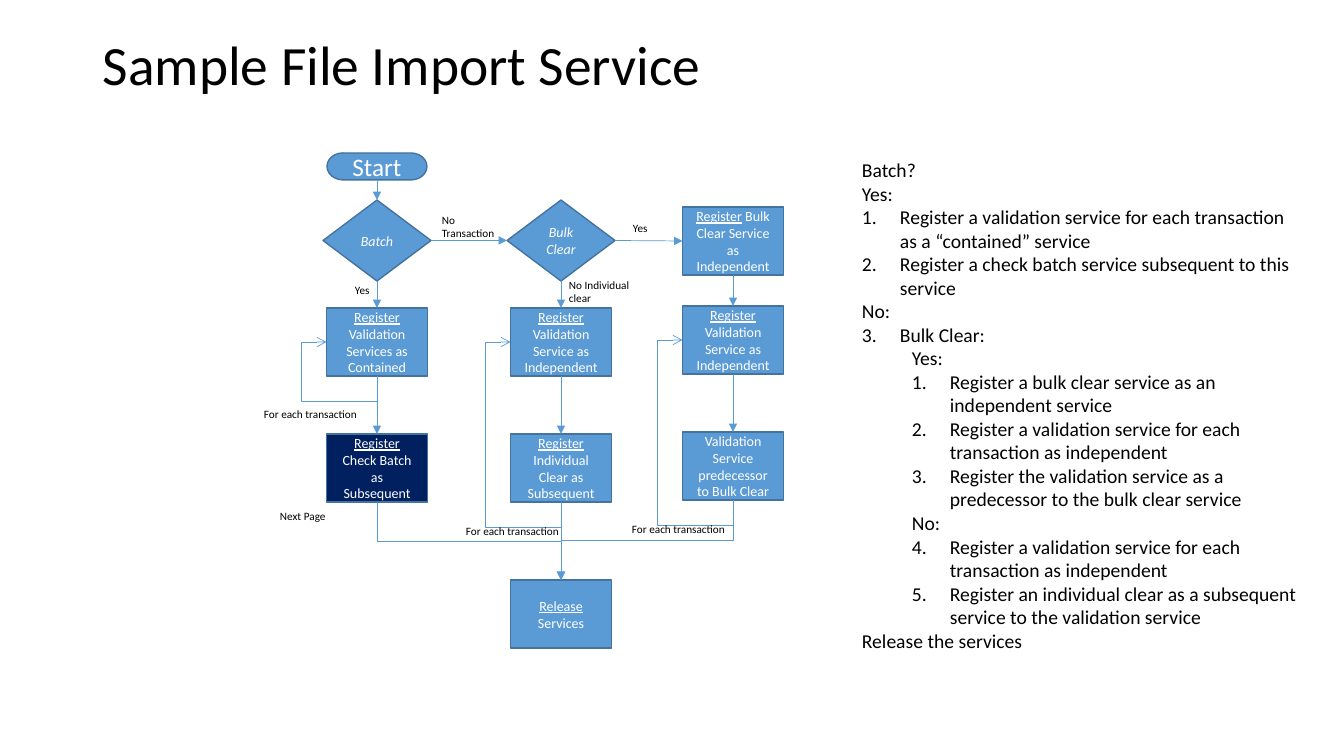
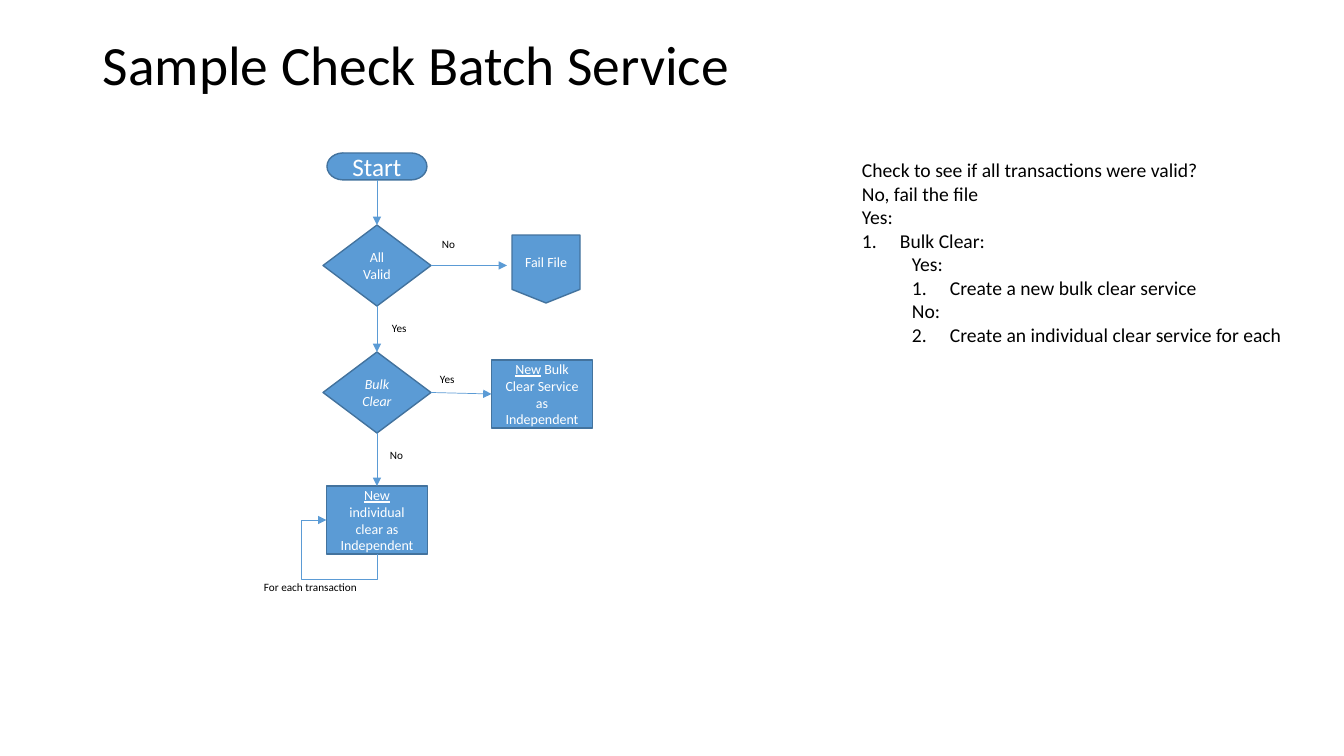
import pptx
import pptx.util
import pptx.dml.color
import pptx.enum.shapes
import pptx.enum.text
import pptx.oxml.ns
import lxml.etree

SCALE = 914400 / 100.8
KIND = pptx.enum.shapes.MSO_SHAPE
WIRE = pptx.enum.shapes.MSO_CONNECTOR
MIDDLE = pptx.enum.text.MSO_ANCHOR.MIDDLE
CENTER = pptx.enum.text.PP_ALIGN.CENTER
TOP, LEFT, BOTTOM, RIGHT = range(4)  # connection sites


def px(n):
    return pptx.util.Emu(round(n * SCALE))


def color(code):
    return pptx.dml.color.RGBColor.from_string(code)


def sub(node, tag, **attrs):
    return lxml.etree.SubElement(node, pptx.oxml.ns.qn(tag), attrs)


class Deck:
    FONT = "Calibri"
    BLUE, EDGE, NAVY = "5B9BD5", "43739E", "002060"
    INK, WHITE = "000000", "FFFFFF"

    def __init__(self):
        self.file = pptx.Presentation()
        self.file.slide_width = pptx.util.Inches(13.333)
        self.file.slide_height = pptx.util.Inches(7.5)

    def page(self, title):
        self.slide = self.file.slides.add_slide(self.file.slide_layouts[6])
        frame = self.text(93, 40, 1159, 54, title, 39.6)
        frame.vertical_anchor = MIDDLE
        frame.paragraphs[0].line_spacing = 0.9

    def style(self, frame, size, ink, italic=False):
        for par in frame.paragraphs:
            for run in par.runs:
                run.font.name = self.FONT
                run.font.size = pptx.util.Pt(size)
                run.font.color.rgb = color(ink)
                run.font.italic = italic

    def text(self, x, y, w, h, words, size):
        box = self.slide.shapes.add_textbox(px(x), px(y), px(w), px(h))
        frame = box.text_frame
        frame.word_wrap = True
        frame.text = words
        self.style(frame, size, self.INK)
        return frame

    def label(self, x, y, words, w=123, h=24):
        self.text(x, y, w, h, words, 8)

    def node(self, kind, mid, top, w, h, words, size=10, italic=False, fill=BLUE):
        """Draw a centred shape; words before a bar are underlined."""
        shape = self.slide.shapes.add_shape(
            kind, px(mid - w / 2), px(top), px(w), px(h))
        shape.shadow.inherit = False
        shape.fill.solid()
        shape.fill.fore_color.rgb = color(fill)
        shape.line.color.rgb = color(self.EDGE)
        shape.line.width = pptx.util.Pt(1)
        frame = shape.text_frame
        frame.word_wrap = True
        frame.vertical_anchor = MIDDLE
        frame.text = words
        for par in frame.paragraphs:
            par.alignment = CENTER
            lead, bar, rest = par.text.partition("|")
            if bar:
                par.text = lead
                par.runs[0].font.underline = True
                par.add_run().text = rest
        self.style(frame, size, self.WHITE, italic)
        return shape

    def start(self, mid):
        return self.node(KIND.FLOWCHART_TERMINATOR, mid, 153, 100, 27, "Start", 18)

    def choice(self, mid, top, words, italic=True):
        return self.node(KIND.FLOWCHART_DECISION, mid, top, 108, 81, words,
                         italic=italic)

    def step(self, mid, top, words, fill=BLUE):
        return self.node(KIND.FLOWCHART_PROCESS, mid, top, 101, 68, words, fill=fill)

    def wire(self, a, out, b, into, kind=WIRE.STRAIGHT, head="triangle"):
        """Join two shapes; with no target site, b is a point."""
        point = (0, 0) if into is not None else b
        line = self.slide.shapes.add_connector(kind, 0, 0, *map(px, point))
        line.begin_connect(a, out)
        if into is not None:
            line.end_connect(b, into)
        line.line.color.rgb = color(self.BLUE)
        line.line.width = pptx.util.Pt(0.5)
        sub(line.line._get_or_add_ln(), "a:tailEnd", type=head)
        sub(line.element.spPr, "a:effectLst")
        return line

    def down(self, *nodes):
        for a, b in zip(nodes, nodes[1:]):
            self.wire(a, BOTTOM, b, TOP)

    def turn(self, line, angle, flip):
        """Stand an elbow on end, so that it leaves downwards."""
        x, y = line.begin_x, line.begin_y
        dx, dy = line.end_x - x, line.end_y - y
        w, h = abs(dy), abs(dx)
        line.left, line.top = (pptx.util.Emu(round(v)) for v in
                               (x + dx / 2 - w / 2, y + dy / 2 - h / 2))
        line.width, line.height = w, h
        frame = line.element.spPr.find(pptx.oxml.ns.qn("a:xfrm"))
        frame.attrib.pop("flipV", None)
        frame.set("rot", str(angle * 60000))
        frame.set("flipH", str(int(flip)))
        return w, h

    def merge(self, a, b):
        line = self.wire(a, BOTTOM, b, TOP, WIRE.ELBOW)
        right = line.end_x > line.begin_x
        self.turn(line, 270 if right else 90, right)

    def loop(self, a, b, head="arrow"):
        line = self.wire(a, BOTTOM, b, LEFT, WIRE.ELBOW, head)
        w, h = self.turn(line, 90, True)
        shape = line.element.spPr.find(pptx.oxml.ns.qn("a:prstGeom"))
        shape.set("prst", "bentConnector4")
        for old in list(shape):
            shape.remove(old)
        guides = sub(shape, "a:avLst")
        gap = px(25)
        for name, part in (("adj1", -gap / w), ("adj2", 1 + gap / h)):
            sub(guides, "a:gd", name=name, fmla=f"val {round(part * 100000)}")

    def notes(self, h, rows):
        """Each row is its level, whether it is numbered, and its words."""
        frame = self.text(852, 153, 458, h, "\n".join(r[2] for r in rows), 14)
        for par, (level, number, _) in zip(frame.paragraphs, rows):
            par.level = level
            hang = 38 if number else 0
            props = par._p.get_or_add_pPr()
            props.set("marL", str(px(50 * level + hang)))
            props.set("indent", str(-px(hang)))
            if number:
                sub(props, "a:buFont", typeface="+mj-lt")
                sub(props, "a:buAutoNum", type="arabicPeriod")


deck = Deck()
A, B, C = 377, 561, 733  # column centres

# File import: shapes
deck.page("Sample File Import Service")
start = deck.start(A)
batch = deck.choice(A, 200, "Batch")
bulk = deck.choice(B, 200, "Bulk Clear")
clear = deck.step(C, 207, "Register| Bulk Clear Service as Independent")
inner = deck.step(A, 308, "Register| Validation Services as Contained")
single = deck.step(B, 308, "Register| Validation Service as Independent")
valid = deck.step(C, 306, "Register| Validation Service as Independent")
check = deck.step(A, 434, "Register| Check Batch as Subsequent", deck.NAVY)
after = deck.step(B, 434, "Register| Individual Clear as Subsequent")
prior = deck.step(C, 432, "Validation Service predecessor to Bulk Clear")
free = deck.step(B, 580, "Release |Services")

# File import: arrows
deck.down(start, batch, inner, check)
deck.down(bulk, single, after, free)
deck.down(clear, valid, prior)
deck.wire(batch, RIGHT, bulk, LEFT)
deck.wire(bulk, RIGHT, clear, LEFT)
deck.loop(inner, inner)
deck.loop(after, single)
deck.loop(prior, valid)
deck.merge(check, free)
deck.merge(prior, free)

# File import: labels
deck.label(345, 278, "Yes", 44)
deck.label(432, 208, "No Transaction", 78, 37)
deck.label(623, 216, "Yes", 44)
deck.label(559, 273, "No Individual clear", 90, 37)
for x, y in ((254, 402), (456, 519), (622, 517)):
    deck.label(x, y, "For each transaction")
deck.label(270, 504, "Next Page")

# File import: rules
deck.notes(509, [
    (0, False, "Batch?"),
    (0, False, "Yes:"),
    (0, True, "Register a validation service for each transaction "
              "as a “contained” service"),
    (0, True, "Register a check batch service subsequent to this service"),
    (0, False, "No:"),
    (0, True, "Bulk Clear:"),
    (1, False, "Yes:"),
    (1, True, "Register a bulk clear service as an independent service"),
    (1, True, "Register a validation service for each transaction as independent"),
    (1, True, "Register the validation service as a predecessor to the "
              "bulk clear service"),
    (1, False, "No:"),
    (1, True, "Register a validation service for each transaction as independent"),
    (1, True, "Register an individual clear as a subsequent service to the "
              "validation service"),
    (0, False, "Release the services"),
])

# Check batch: shapes
deck.page("Sample Check Batch Service")
start = deck.start(A)
valid = deck.choice(A, 225, "All Valid", italic=False)
bulk = deck.choice(A, 352, "Bulk Clear")
single = deck.step(A, 486, "New| individual clear as Independent")
deck.node(KIND.FLOWCHART_OFFPAGE_CONNECTOR, 546, 235, 68, 68, "Fail File")
clear = deck.step(542, 360, "New| Bulk Clear Service\nas Independent")

# Check batch: arrows
deck.down(start, valid, bulk, single)
deck.wire(valid, RIGHT, (507, 265.5), None)
deck.wire(bulk, RIGHT, clear, LEFT)
deck.loop(single, single, "triangle")

# Check batch: labels
for x, y, words in ((432, 232, "No"), (380, 443, "No"),
                    (430, 367, "Yes"), (382, 316, "Yes")):
    deck.label(x, y, words, 78)
deck.label(254, 575, "For each transaction")

# Check batch: rules
deck.notes(201, [
    (0, False, "Check to see if all transactions were valid?"),
    (0, False, "No, fail the file"),
    (0, False, "Yes:"),
    (0, True, "Bulk Clear:"),
    (1, False, "Yes:"),
    (1, True, "Create a new bulk clear service"),
    (1, False, "No:"),
    (1, True, "Create an individual clear service for each"),
])

deck.file.save("out.pptx")
